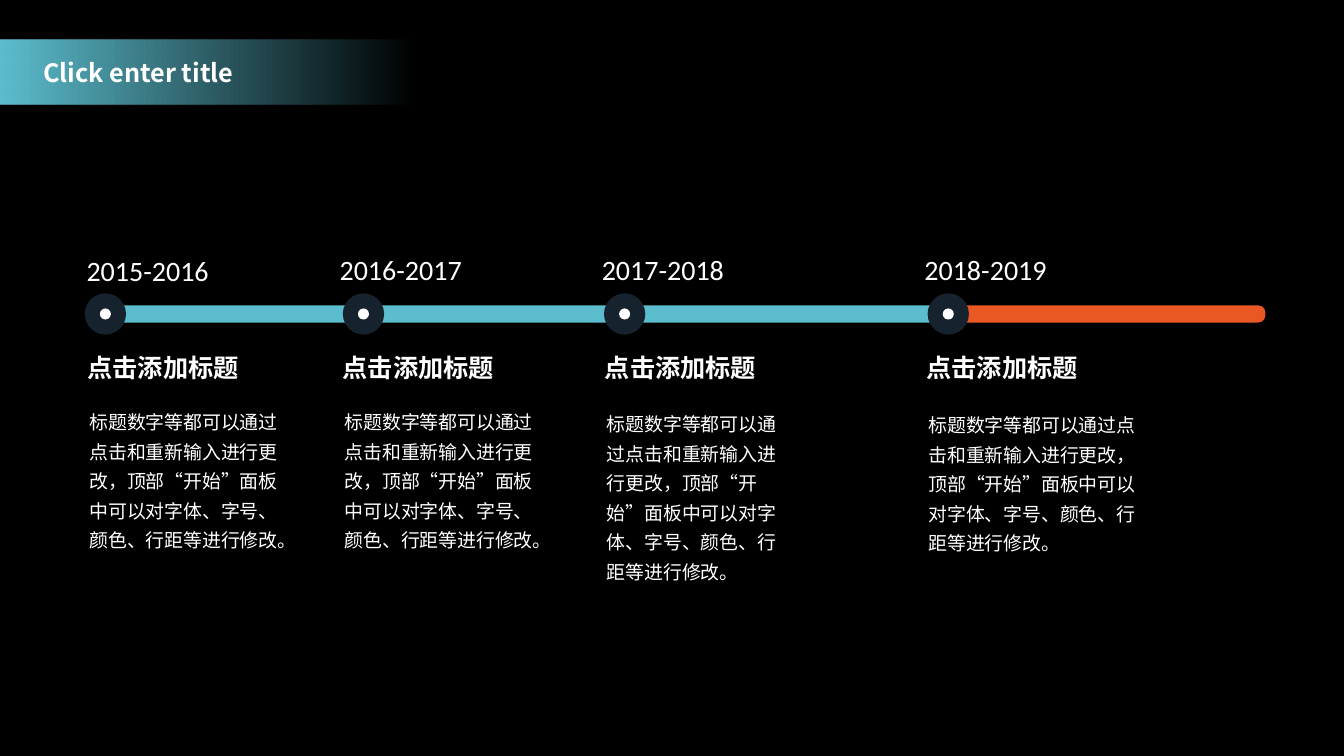
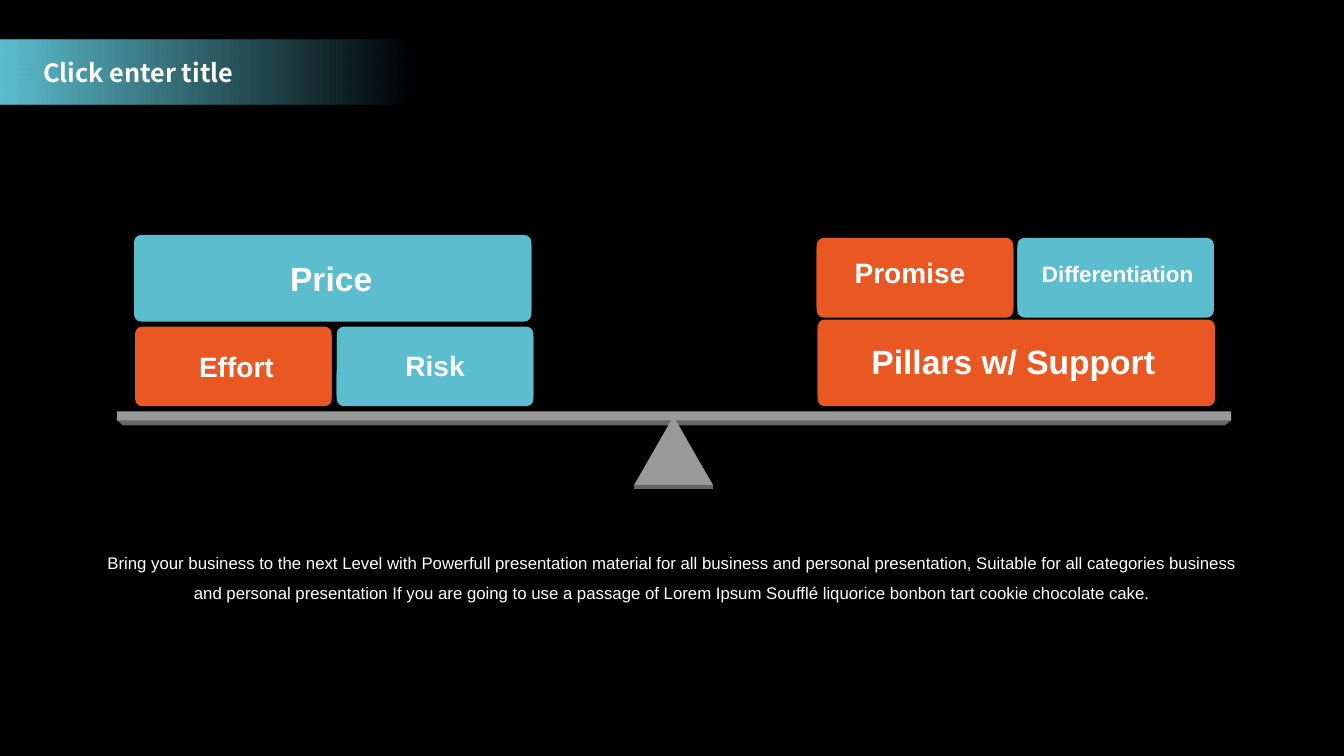
from dataclasses import dataclass

from lxml import etree
from pptx import Presentation
from pptx import util as u
from pptx.dml.color import RGBColor
from pptx.enum import shapes, text
from pptx.oxml.ns import qn


@dataclass(frozen=True)
class Theme:
    back: str = "000000"
    white: str = "FFFFFF"
    teal: str = "5CBDCE"
    orange: str = "E95823"
    navy: str = "17222F"
    gray: str = "999999"
    shade: str = "666666"
    sans: str = "Arial"
    plain: str = "Calibri"
    cjk: str = "Noto Sans CJK SC"
    title: float = 18
    year: float = 20
    body: float = 13.5
    note: float = 12


@dataclass(frozen=True)
class Stage:
    years: str
    dot: float  # left edge of the dot
    year_x: float
    year_y: float
    head_x: float
    body_y: float
    body_w: float
    body_h: float


@dataclass(frozen=True)
class Block:
    label: str
    color: str
    box: tuple[float, float, float, float]
    spot: tuple[float, float, float, float]  # label box
    size: float


T = Theme()
KIND = shapes.MSO_SHAPE
HEAD = "点击添加标题"
BODY = ("标题数字等都可以通过点击和重新输入进行更改，"
        "顶部“开始”面板中可以对字体、字号、颜色、行距等进行修改。")
NOTE = ("Bring your business to the next Level with Powerfull presentation material "
        "for all business and personal presentation, Suitable for all categories "
        "business and personal presentation If you are going to use a passage of "
        "Lorem Ipsum Soufflé liquorice bonbon tart cookie chocolate cake.")

STAGES = [
    Stage("2015-2016", 0.84, 0.76, 2.47, 0.77, 3.96, 2.07, 1.87),
    Stage("2016-2017", 3.4, 3.27, 2.46, 3.3, 3.96, 2.07, 1.87),
    Stage("2017-2018", 5.99, 5.87, 2.46, 5.9, 3.98, 1.99, 1.87),
    Stage("2018-2019", 9.2, 9.07, 2.46, 9.09, 3.99, 2.42, 1.58),
]
BLOCKS = [
    Block("Differentiation", T.teal, (10.09, 2.36, 1.95, 0.75), (9.89, 2.53, 2.39, 0.37), 16),
    Block("Promise", T.orange, (8.1, 2.36, 1.95, 0.75), (8.02, 2.49, 2.01, 0.44), 20),
    Block("Effort", T.orange, (1.34, 3.24, 1.95, 0.75), (1.34, 3.42, 2.01, 0.44), 20),
    Block("Risk", T.teal, (3.34, 3.24, 1.95, 0.75), (3.31, 3.41, 2.01, 0.44), 20),
    Block("Price", T.teal, (1.33, 2.33, 3.94, 0.82), (2.28, 2.51, 2.01, 0.5), 24),
    Block("Pillars w/ Support", T.orange, (8.11, 3.17, 3.94, 0.82), (8.14, 3.33, 3.82, 0.5), 24),
]


def paint(shape, color: str) -> None:
    shape.shadow.inherit = False
    shape.fill.solid()
    shape.fill.fore_color.rgb = RGBColor.from_string(color)
    shape.line.fill.background()


def add(slide, kind, x: float, y: float, w: float, h: float, color: str,
        round_by: float | None = None):
    shape = slide.shapes.add_shape(kind, *map(u.Inches, (x, y, w, h)))
    paint(shape, color)
    if round_by is not None:
        shape.adjustments[0] = round_by / min(w, h)
    return shape


def outline(slide, points: list[tuple[float, float]], color: str) -> None:
    first, *rest = [(u.Inches(x), u.Inches(y)) for x, y in points]
    pen = slide.shapes.build_freeform(*first)
    pen.add_line_segments(rest, close=True)
    paint(pen.convert_to_shape(), color)


def write(slide, words: str, x: float, y: float, w: float, h: float, size: float,
          face: str, bold: bool = False, wrap: bool = True, center: bool = False,
          lead: float | None = None) -> None:
    box = slide.shapes.add_textbox(*map(u.Inches, (x, y, w, h)))
    frame = box.text_frame
    frame.word_wrap = wrap
    frame.auto_size = text.MSO_AUTO_SIZE.SHAPE_TO_FIT_TEXT
    para = frame.paragraphs[0]
    para.text = words
    para.alignment = text.PP_ALIGN.CENTER if center else text.PP_ALIGN.LEFT
    if lead:
        para.line_spacing = lead
    font = para.font
    font.size, font.name, font.bold = u.Pt(size), face, bold
    font.color.rgb = RGBColor.from_string(T.white)
    east = etree.SubElement(para._p.pPr.find(qn("a:defRPr")), qn("a:ea"))
    east.set("typeface", T.cjk)


def start(deck):
    """Blank slide with the black ground and the fading title band."""
    slide = deck.slides.add_slide(deck.slide_layouts[6])
    ground = slide.background.fill
    ground.solid()
    ground.fore_color.rgb = RGBColor.from_string(T.back)

    band = add(slide, KIND.RECTANGLE, 0, 0.39, 5.19, 0.65, T.teal)
    band.fill.gradient()
    band.fill.gradient_angle = 0
    for stop, place in zip(band.fill.gradient_stops, (0, 0.79)):
        stop.color.rgb = RGBColor.from_string(T.teal)
        stop.position = place
    clear = band._element.findall(".//" + qn("a:srgbClr"))[-1]
    etree.SubElement(clear, qn("a:alpha")).set("val", "0")
    write(slide, "Click enter title", 0.33, 0.52, 3.58, 0.4, T.title, T.cjk, bold=True)
    return slide


def timeline(deck) -> None:
    slide = start(deck)
    # Track: both inner ends lie under the last dot
    for x, end, color in ((9.4, 12.55, T.orange), (0.95, 9.4, T.teal)):
        add(slide, KIND.ROUNDED_RECTANGLE, x, 3.03, end - x, 0.17, color, 0.07)
    # Stages
    ring, core = 0.41, 0.11
    inset = (ring - core) / 2
    for s in STAGES:
        add(slide, KIND.OVAL, s.dot, 2.91, ring, ring, T.navy)
        add(slide, KIND.OVAL, s.dot + inset, 2.91 + inset, core, core, T.white)
        write(slide, s.years, s.year_x, s.year_y, 1.42, 0.44, T.year, T.plain, wrap=False)
        write(slide, HEAD, s.head_x, 3.45, 1.72, 0.4, T.title, T.sans, bold=True, wrap=False)
        write(slide, BODY, s.head_x + 0.02, s.body_y, s.body_w, s.body_h,
              T.body, T.plain, lead=1.3)


def balance(deck) -> None:
    slide = start(deck)
    # Beam
    left, right = 1.16, 12.21
    outline(slide, [(right - 0.06, 4.22), (left + 0.06, 4.22), (left, 4.17), (left, 4.13),
                    (right, 4.13), (right, 4.17)], T.shade)
    add(slide, KIND.RECTANGLE, left, 4.08, right - left, 0.09, T.gray)
    # Pivot
    outline(slide, [(6.29, 4.85), (6.29, 4.81), (6.68, 4.17), (7.07, 4.81), (7.07, 4.85)],
            T.shade)
    add(slide, KIND.ISOSCELES_TRIANGLE, 6.29, 4.13, 0.78, 0.68, T.gray)
    # Weights: a lower edge, then the face
    for b in BLOCKS:
        x, y, w, h = b.box
        for drop in (0.04, 0):
            add(slide, KIND.ROUNDED_RECTANGLE, x, y + drop, w, h, b.color, 0.07)
    for b in BLOCKS:
        write(slide, b.label, *b.spot, b.size, T.sans, bold=True, center=True)
    # Note
    write(slide, NOTE, 0.85, 5.33, 11.64, 0.67, T.note, T.sans, center=True, lead=1.5)


def main() -> None:
    deck = Presentation()
    deck.slide_width, deck.slide_height = u.Inches(13.33), u.Inches(7.5)
    timeline(deck)
    balance(deck)
    deck.save("out.pptx")


if __name__ == "__main__":
    main()
